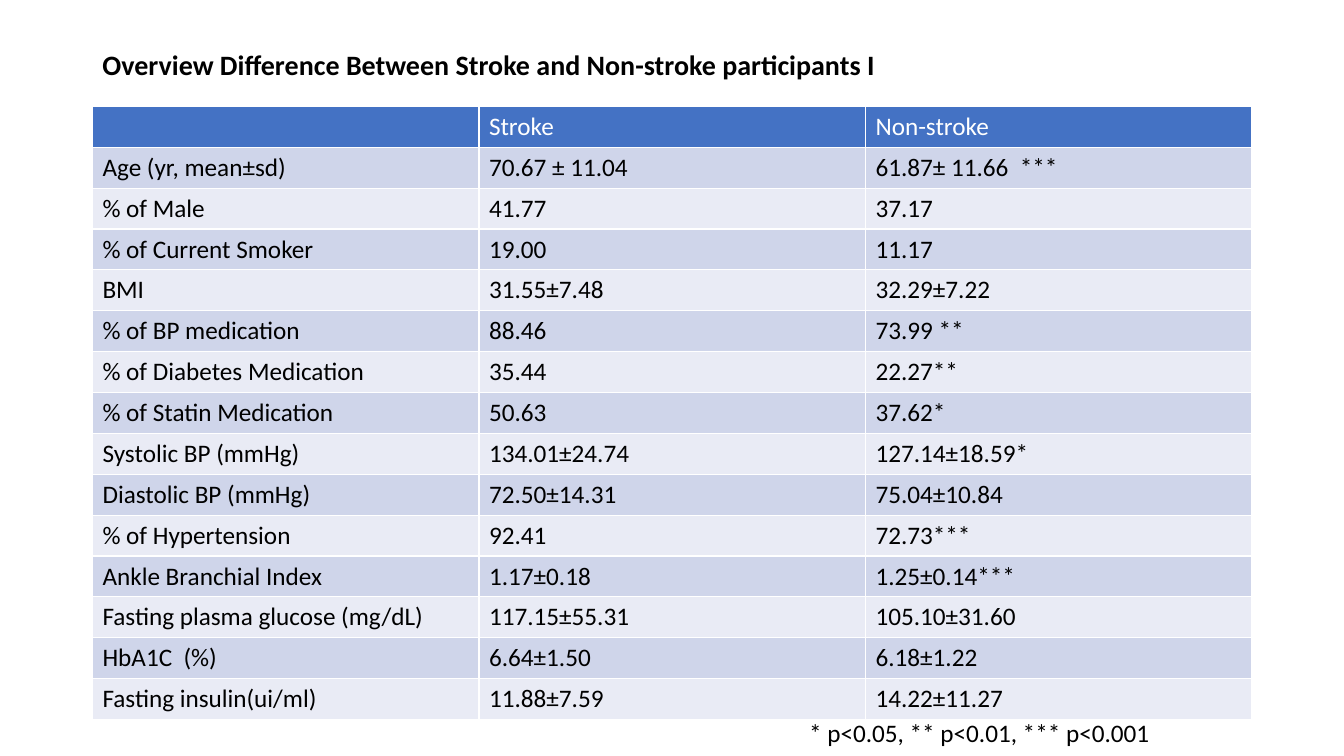
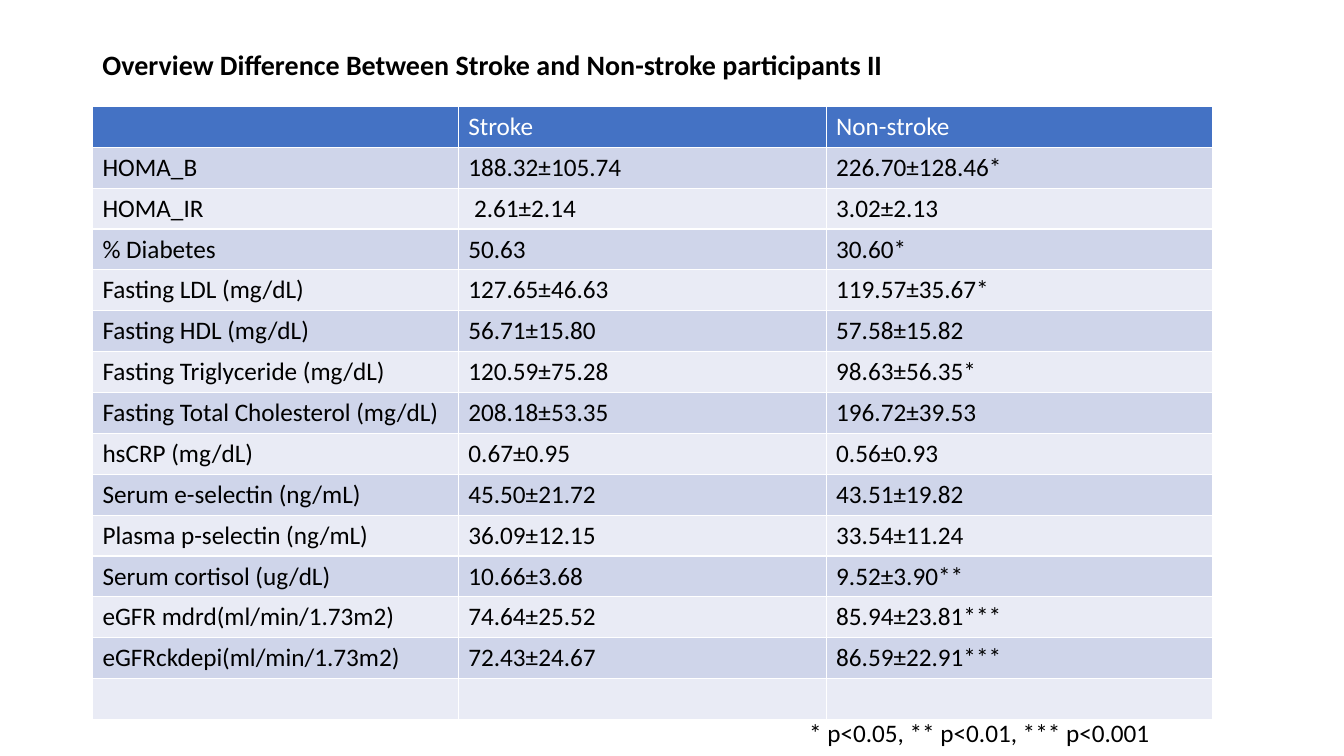
from pptx import Presentation
from pptx.dml.color import RGBColor
from pptx.enum import text
from pptx.util import Cm, Pt

FONT = "Calibri"
COLORS = {"header": "4472C4", "odd": "CFD5EA", "even": "E9EBF5",
          "text": "000000", "header_text": "FFFFFF"}
TITLE = "Overview Difference Between Stroke and Non-stroke participants "
FOOTNOTE = "* p<0.05, ** p<0.01, *** p<0.001"
HEADER = ("", "Stroke", "Non-stroke")
LEFT, TABLE_TOP, ROW_HEIGHT = 2.33, 2.68, 1.03

SLIDES = [
    {"part": "I", "widths": (9.74, 9.74, 9.74), "rows": [
        ("Age (yr, mean±sd)", "70.67 ± 11.04", "61.87± 11.66  ***"),
        ("% of Male", "41.77", "37.17"),
        ("% of Current Smoker", "19.00", "11.17"),
        ("BMI", "31.55±7.48", "32.29±7.22"),
        ("% of BP medication", "88.46", "73.99 **"),
        ("% of Diabetes Medication", "35.44", "22.27**"),
        ("% of Statin Medication", "50.63", "37.62*"),
        ("Systolic BP (mmHg)", "134.01±24.74", "127.14±18.59*"),
        ("Diastolic BP (mmHg)", "72.50±14.31", "75.04±10.84"),
        ("% of Hypertension", "92.41", "72.73***"),
        ("Ankle Branchial Index", "1.17±0.18", "1.25±0.14***"),
        ("Fasting plasma glucose (mg/dL)", "117.15±55.31", "105.10±31.60"),
        ("HbA1C  (%)", "6.64±1.50", "6.18±1.22"),
        ("Fasting insulin(ui/ml)", "11.88±7.59", "14.22±11.27"),
    ]},
    {"part": "II", "widths": (9.22, 9.27, 9.74), "rows": [
        ("HOMA_B", "188.32±105.74", "226.70±128.46*"),
        ("HOMA_IR", " 2.61±2.14", "3.02±2.13"),
        ("% Diabetes", "50.63", "30.60*"),
        ("Fasting LDL (mg/dL)", "127.65±46.63", "119.57±35.67*"),
        ("Fasting HDL (mg/dL)", "56.71±15.80", "57.58±15.82"),
        ("Fasting Triglyceride (mg/dL)", "120.59±75.28", "98.63±56.35*"),
        ("Fasting Total Cholesterol (mg/dL)", "208.18±53.35", "196.72±39.53"),
        ("hsCRP (mg/dL)", "0.67±0.95", "0.56±0.93"),
        ("Serum e-selectin (ng/mL)", "45.50±21.72", "43.51±19.82"),
        ("Plasma p-selectin (ng/mL)", "36.09±12.15", "33.54±11.24"),
        ("Serum cortisol (ug/dL)", "10.66±3.68", "9.52±3.90**"),
        ("eGFR mdrd(ml/min/1.73m2)", "74.64±25.52", "85.94±23.81***"),
        ("eGFRckdepi(ml/min/1.73m2)", "72.43±24.67", "86.59±22.91***"),
        ("", "", ""),
    ]},
]


def write(tf, content, size=18, color="text", bold=False):
    p = tf.paragraphs[0]
    p.text = content
    p.font.name, p.font.size, p.font.bold = FONT, Pt(size), bold
    p.font.color.rgb = RGBColor.from_string(COLORS[color])
    return p


def add_text(slide, box, content, **style):
    tf = slide.shapes.add_textbox(*map(Cm, box)).text_frame
    tf.word_wrap = True
    return tf, write(tf, content, **style)


def add_title(slide, content):
    tf, p = add_text(slide, (LEFT, 0.69, 29.21, 1.96), content, size=20, bold=True)
    tf.vertical_anchor = text.MSO_ANCHOR.MIDDLE
    p.line_spacing = 0.9


def add_comparison(slide, widths, rows):
    grid = [HEADER, *rows]
    table = slide.shapes.add_table(
        len(grid), len(widths), Cm(LEFT), Cm(TABLE_TOP),
        Cm(sum(widths)), Cm(ROW_HEIGHT * len(grid))).table
    for column, width in zip(table.columns, widths):
        column.width = Cm(width)
    for i, values in enumerate(grid):
        table.rows[i].height = Cm(ROW_HEIGHT)
        fill = "header" if i == 0 else "odd" if i % 2 else "even"
        for j, value in enumerate(values):
            cell = table.cell(i, j)
            cell.fill.solid()
            cell.fill.fore_color.rgb = RGBColor.from_string(COLORS[fill])
            write(cell.text_frame, value, color="text" if i else "header_text")


def main():
    prs = Presentation()
    prs.slide_width, prs.slide_height = Cm(33.87), Cm(19.05)
    for content in SLIDES:
        slide = prs.slides.add_slide(prs.slide_layouts[6])
        add_title(slide, TITLE + content["part"])
        add_comparison(slide, content["widths"], content["rows"])
        add_text(slide, (20.14, 17.96, 10.24, 1.03), FOOTNOTE)
    prs.save("out.pptx")


if __name__ == "__main__":
    main()
